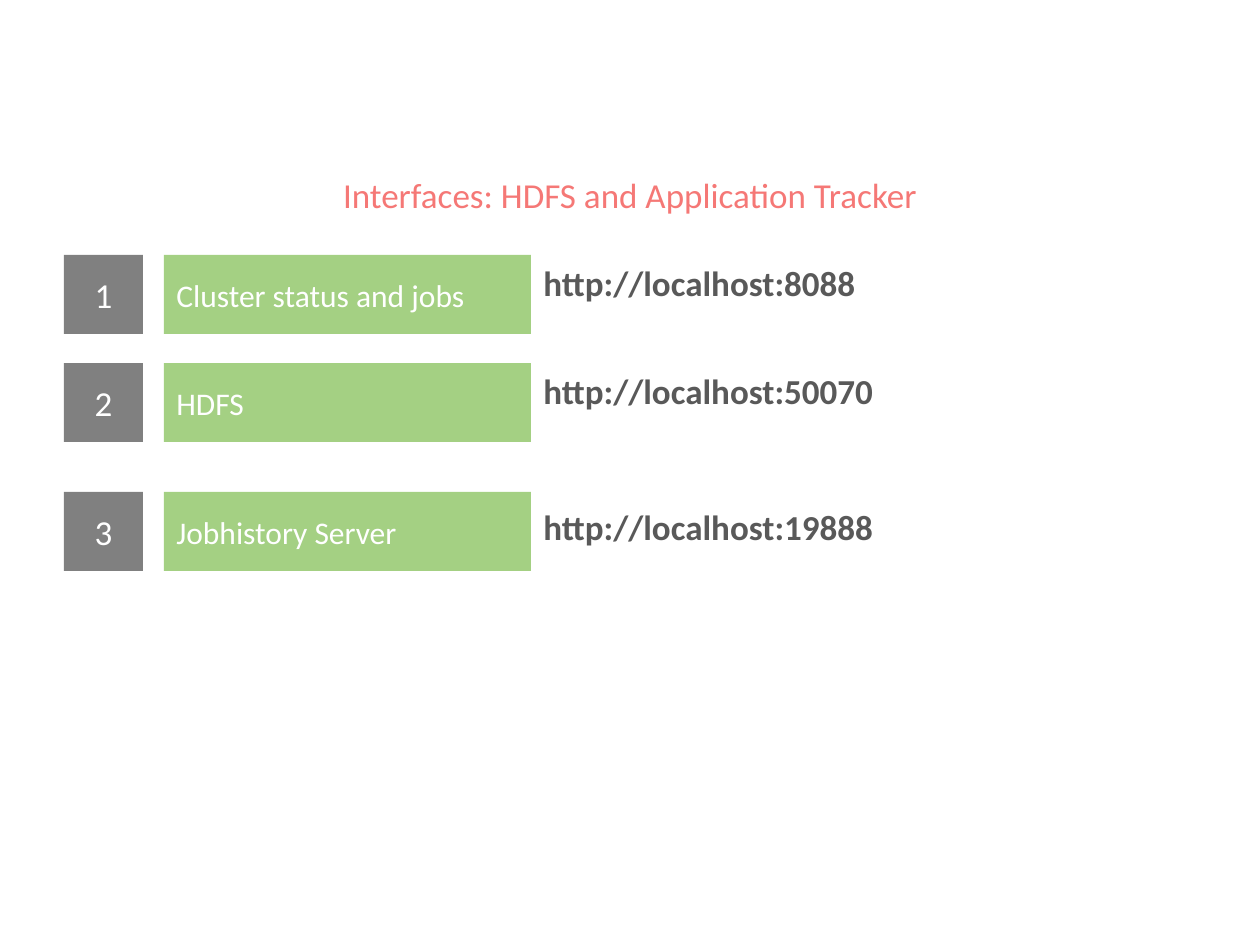
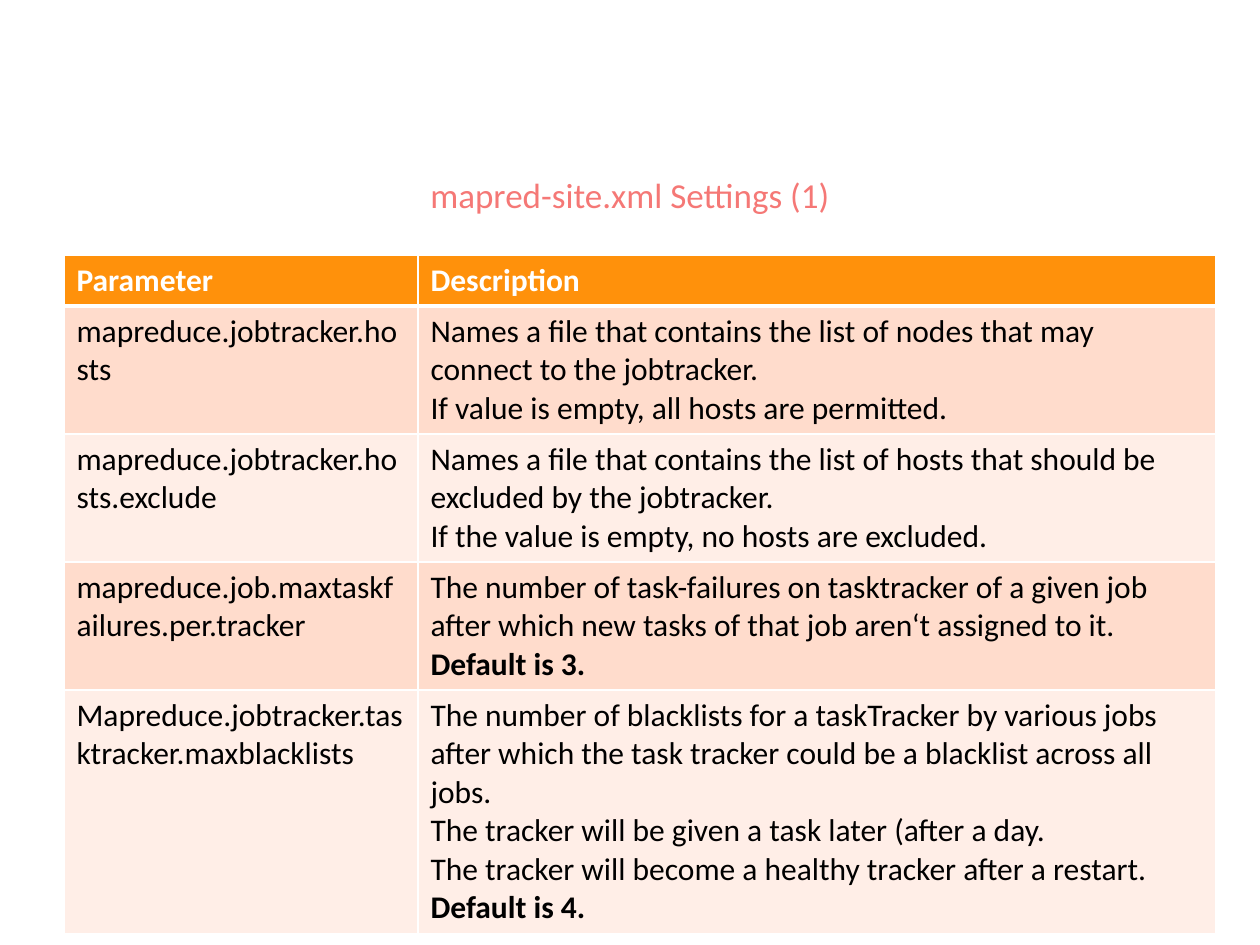
from dataclasses import dataclass

import pptx
import pptx.dml.color
import pptx.enum.shapes
import pptx.enum.text
import pptx.oxml
import pptx.oxml.ns
import pptx.util

RGBColor = pptx.dml.color.RGBColor
PP_ALIGN = pptx.enum.text.PP_ALIGN
MSO_ANCHOR = pptx.enum.text.MSO_ANCHOR

# Shared look
FONT = "Calibri"
CORAL = RGBColor(0xF5, 0x78, 0x76)
GREEN = RGBColor(0xA4, 0xD0, 0x83)
GRAY = RGBColor(0x80, 0x80, 0x80)
DARK_GRAY = RGBColor(0x59, 0x59, 0x59)
ORANGE = RGBColor(0xFF, 0x91, 0x0B)
PEACH = RGBColor(0xFF, 0xDC, 0xCC)
PALE_PEACH = RGBColor(0xFF, 0xEE, 0xE7)
WHITE = RGBColor(0xFF, 0xFF, 0xFF)
BLACK = RGBColor(0, 0, 0)

PX_PER_INCH = 126
LEFT = 64
TOP = 255


@dataclass
class Interface:
    number: int
    label: str
    url: str
    top: int
    url_offset: int = 0


@dataclass
class Setting:
    parameter: str
    description: list[str]
    height: int
    default: str = ""


INTERFACES = [
    Interface(1, "Cluster status and jobs", "http://localhost:8088", TOP),
    Interface(2, "HDFS", "http://localhost:50070", 363),
    Interface(3, "Jobhistory Server", "http://localhost:19888", 492, 7),
]

SETTINGS = [
    Setting("mapreduce.jobtracker.hosts", [
        "Names a file that contains the list of nodes that may connect to the jobtracker.",
        "If value is empty, all hosts are permitted.",
    ], 128),
    Setting("mapreduce.jobtracker.hosts.exclude", [
        "Names a file that contains the list of hosts that should be excluded by the jobtracker.",
        "If the value is empty, no hosts are excluded.",
    ], 128),
    Setting("mapreduce.job.maxtaskfailures.per.tracker", [
        "The number of task-failures on tasktracker of a given job after which new tasks "
        "of that job aren‘t assigned to it.",
    ], 128, "Default is 3."),
    Setting("Mapreduce.jobtracker.tasktracker.maxblacklists", [
        "The number of blacklists for a taskTracker by various jobs after which the task "
        "tracker could be a blacklist across all jobs.",
        "The tracker will be given a task later (after a day.",
        "The tracker will become a healthy tracker after a restart.",
    ], 243, "Default is 4."),
]


def px(n: int) -> pptx.util.Emu:
    return pptx.util.Emu(round(n * 914400 / PX_PER_INCH))


def style(p, size: int, color: RGBColor, bold: bool = False, align=PP_ALIGN.LEFT) -> None:
    p.alignment = align
    p.font.name = FONT
    p.font.size = pptx.util.Pt(size)
    p.font.bold = bold
    p.font.color.rgb = color


def add_titled_slide(prs, title: str):
    slide = prs.slides.add_slide(prs.slide_layouts[5])
    sp = slide.shapes.title
    sp.left, sp.top, sp.width, sp.height = px(63), px(145), px(1134), px(100)
    tf = sp.text_frame
    tf.text = title
    tf.vertical_anchor = MSO_ANCHOR.MIDDLE
    style(tf.paragraphs[0], 20, CORAL, align=PP_ALIGN.CENTER)
    return slide


def add_box(slide, left: int, top: int, width: int, text: str,
            fill: RGBColor, size: int, align) -> None:
    sp = slide.shapes.add_shape(pptx.enum.shapes.MSO_SHAPE.RECTANGLE,
                                px(left), px(top), px(width), px(79))
    sp.shadow.inherit = False
    sp.fill.solid()
    sp.fill.fore_color.rgb = fill
    sp.line.fill.background()
    tf = sp.text_frame
    tf.text = text
    tf.vertical_anchor = MSO_ANCHOR.MIDDLE
    style(tf.paragraphs[0], size, WHITE, align=align)


def add_interface(slide, item: Interface) -> None:
    add_box(slide, 164, item.top, 367, item.label, GREEN, 18, PP_ALIGN.LEFT)
    add_box(slide, LEFT, item.top, 79, str(item.number), GRAY, 20, PP_ALIGN.CENTER)
    sp = slide.shapes.add_textbox(px(531), px(item.top + item.url_offset), px(667), px(55))
    tf = sp.text_frame
    tf.word_wrap = True
    tf.text = item.url
    style(tf.paragraphs[0], 20, DARK_GRAY, bold=True)


def set_borders(cell, bottom: int) -> None:
    tcPr = cell._tc.get_or_add_tcPr()
    for side, points in (("L", 1), ("R", 1), ("T", 1), ("B", bottom)):
        tcPr.append(pptx.oxml.parse_xml(
            f'<a:ln{side} {pptx.oxml.ns.nsdecls("a")} w="{pptx.util.Pt(points)}">'
            f'<a:solidFill><a:srgbClr val="{WHITE}"/></a:solidFill></a:ln{side}>'))


def fill_cell(cell, lines: list[str], fill: RGBColor, color: RGBColor = BLACK,
              bold_line: str = "", bottom: int = 1) -> None:
    set_borders(cell, bottom)
    cell.fill.solid()
    cell.fill.fore_color.rgb = fill
    tf = cell.text_frame
    tf.text = "\n".join(lines)
    for p in tf.paragraphs:
        style(p, 18, color, bold=p.text == bold_line)


def add_settings_table(slide, settings: list[Setting]) -> None:
    heights = [51] + [s.height for s in settings]
    widths = [354, 798]
    table = slide.shapes.add_table(len(heights), len(widths), px(LEFT), px(TOP),
                                   px(sum(widths)), px(sum(heights))).table
    for column, width in zip(table.columns, widths):
        column.width = px(width)
    for row, height in zip(table.rows, heights):
        row.height = px(height)

    # Header row
    for i, heading in enumerate(("Parameter", "Description")):
        fill_cell(table.cell(0, i), [heading], ORANGE, WHITE, heading, bottom=3)

    # Banded rows, default value in bold
    for i, s in enumerate(settings, 1):
        fill = PEACH if i % 2 else PALE_PEACH
        fill_cell(table.cell(i, 0), [s.parameter], fill)
        lines = s.description + ([s.default] if s.default else [])
        fill_cell(table.cell(i, 1), lines, fill, bold_line=s.default)


def main() -> None:
    prs = pptx.Presentation()
    prs.slide_width, prs.slide_height = px(1260), px(945)

    # Web interfaces
    slide = add_titled_slide(prs, "Interfaces: HDFS and Application Tracker")
    for item in INTERFACES:
        add_interface(slide, item)

    # MapReduce settings
    slide = add_titled_slide(prs, "mapred-site.xml Settings (1)")
    add_settings_table(slide, SETTINGS)

    prs.save("out.pptx")


if __name__ == "__main__":
    main()
